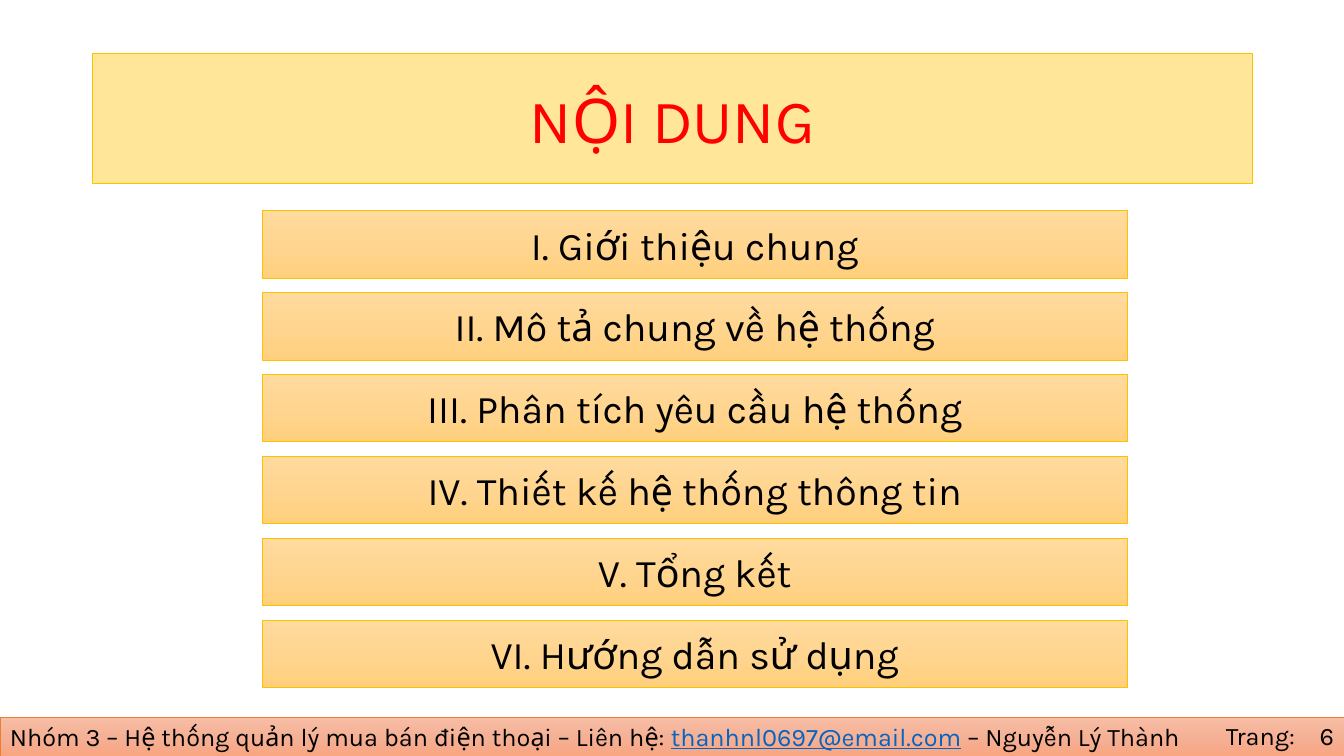
from copy import deepcopy

from pptx import Presentation
from pptx import util as u
from pptx.dml.color import RGBColor
from pptx.enum import shapes, text
from pptx.oxml.ns import qn

# Content
TITLE = "NỘI DUNG"
SECTIONS = [
    "I. Giới thiệu chung",
    "II. Mô tả chung về hệ thống",
    "III. Phân tích yêu cầu hệ thống",
    "IV. Thiết kế hệ thống thông tin",
    "V. Tổng kết",
    "VI. Hướng dẫn sử dụng",
]
FOOTER = [
    ("Nhóm 3 – Hệ thống quản lý mua bán điện thoại – Liên hệ: ", "000000", False),
    ("thanhnl0697@email.com", "0563C1", True),
    (" – Nguyễn Lý Thành", "000000", False),
]
PAGE_LABEL, PAGE_NUMBER = "Trang:", "6"

# Style and grid, in inches
FONT = "Karla"
BLACK, RED, GOLD, ORANGE = "000000", "FF0000", "FFC000", "ED7D31"
TITLE_FILL = "FFE699"
BAR_GRADIENT = ("FFDB9E", "FFD590", "FFD07C")
FOOTER_GRADIENT = ("F7BDA5", "F5B196", "F8A582")
WIDTH, HEIGHT = 13.33, 7.5
TITLE_BOX = (0.92, 0.53, 11.5, 1.29)
BAR_LEFT, BAR_WIDTH, BAR_HEIGHT = 2.6, 8.58, 0.67
FIRST_BAR, LAST_BAR = 2.09, 6.15
FOOTER_HEIGHT = 0.38
PAGE_TOP, PAGE_HEIGHT = 7.1, 0.4


def color(value):
    return RGBColor.from_string(value)


def inches(box):
    return [u.Inches(length) for length in box]


def outline(shape, line_color):
    shape.line.color.rgb = color(line_color)
    shape.line.width = u.Pt(0.5)


def write(shape, runs, size, align=text.PP_ALIGN.LEFT, anchor=text.MSO_ANCHOR.MIDDLE):
    frame = shape.text_frame
    frame.word_wrap = True
    frame.auto_size = text.MSO_AUTO_SIZE.NONE
    frame.vertical_anchor = anchor
    paragraph = frame.paragraphs[0]
    paragraph.alignment = align
    for words, run_color, underlined in runs:
        run = paragraph.add_run()
        run.text = words
        run.font.name = FONT
        run.font.size = u.Pt(size)
        run.font.color.rgb = color(run_color)
        run.font.underline = underlined


def add_gradient_bar(slide, box, colors, line_color):
    bar = slide.shapes.add_shape(shapes.MSO_SHAPE.RECTANGLE, *inches(box))
    bar.shadow.inherit = False
    outline(bar, line_color)
    bar.fill.gradient()
    bar.fill.gradient_angle = 270
    # A new gradient has two stops; the third goes in the middle
    stop_list = bar.fill.gradient_stops
    stop_element = next(bar._element.spPr.iter(qn("a:gs")))
    stop_element.addnext(deepcopy(stop_element))
    stop_list = bar.fill.gradient_stops
    for index, (stop, stop_color) in enumerate(zip(stop_list, colors)):
        stop.position = index / (len(colors) - 1)
        stop.color.rgb = color(stop_color)
    return bar


def main():
    presentation = Presentation()
    presentation.slide_width = u.Inches(WIDTH)
    presentation.slide_height = u.Inches(HEIGHT)
    slide = presentation.slides.add_slide(presentation.slide_layouts[5])

    # Footer band with contact and page number
    footer_box = (0, HEIGHT - FOOTER_HEIGHT, WIDTH, FOOTER_HEIGHT)
    footer = add_gradient_bar(slide, footer_box, FOOTER_GRADIENT, ORANGE)
    write(footer, FOOTER, 18)
    label = slide.shapes.add_textbox(*inches((12.06, PAGE_TOP, 1.02, PAGE_HEIGHT)))
    write(label, [(PAGE_LABEL, BLACK, False)], 18, anchor=text.MSO_ANCHOR.TOP)
    number = slide.shapes.add_textbox(*inches((WIDTH - 3, PAGE_TOP, 3, PAGE_HEIGHT)))
    write(number, [(PAGE_NUMBER, BLACK, False)], 18, text.PP_ALIGN.RIGHT)

    # Title
    title = slide.shapes.title
    title.left, title.top, title.width, title.height = inches(TITLE_BOX)
    title.fill.solid()
    title.fill.fore_color.rgb = color(TITLE_FILL)
    outline(title, GOLD)
    write(title, [(TITLE, RED, False)], 44, text.PP_ALIGN.CENTER)

    # One bar per section, evenly spaced
    pitch = (LAST_BAR - FIRST_BAR) / (len(SECTIONS) - 1)
    for row, section in enumerate(SECTIONS):
        box = (BAR_LEFT, FIRST_BAR + row * pitch, BAR_WIDTH, BAR_HEIGHT)
        bar = add_gradient_bar(slide, box, BAR_GRADIENT, GOLD)
        write(bar, [(section, BLACK, False)], 28, text.PP_ALIGN.CENTER)

    presentation.save("out.pptx")


if __name__ == "__main__":
    main()
